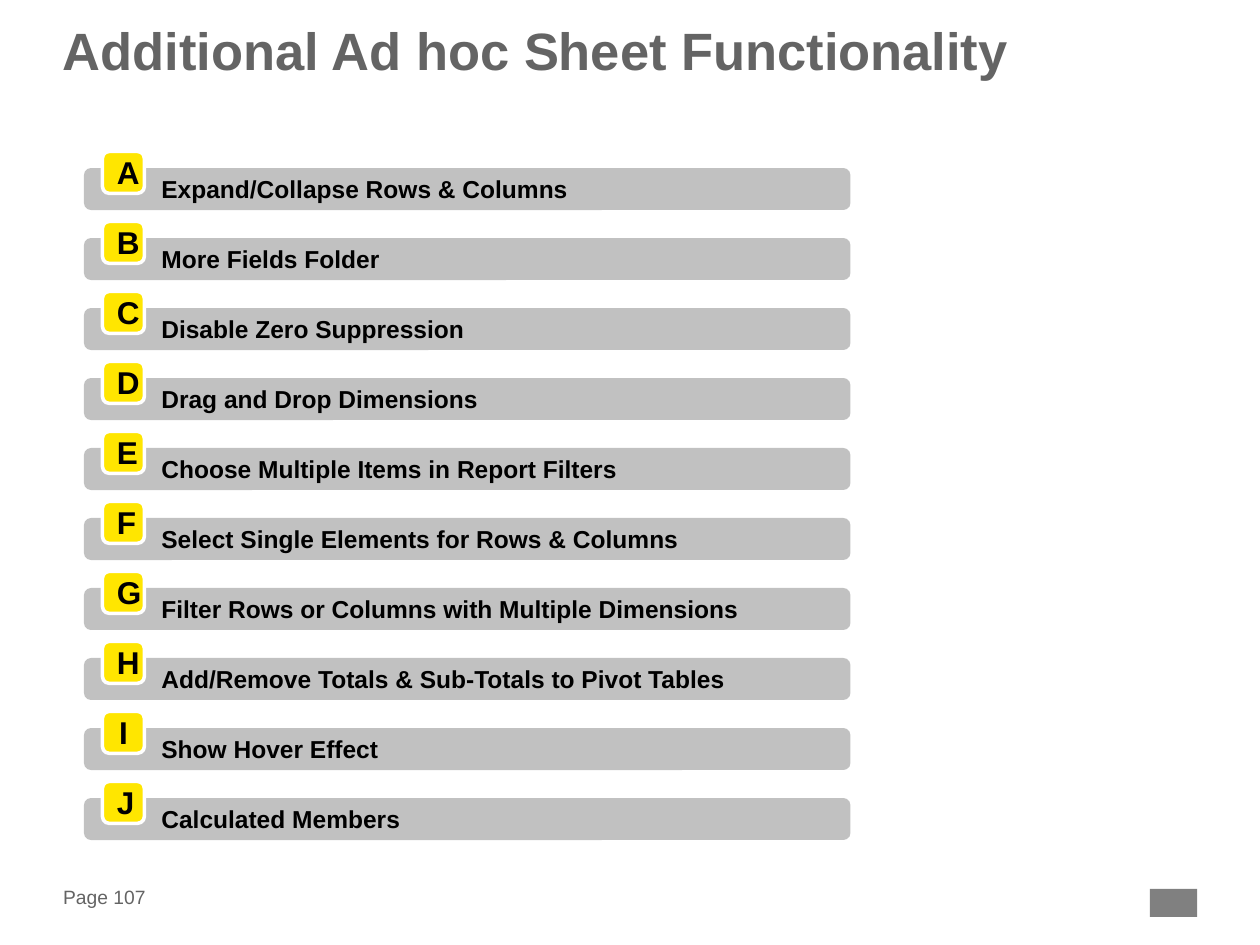
"""Build the slide listing additional ad hoc sheet functionality."""
import pptx
import pptx.dml.color
import pptx.enum.shapes
import pptx.enum.text
import pptx.util

Pt = pptx.util.Pt
RGBColor = pptx.dml.color.RGBColor
MSO_SHAPE = pptx.enum.shapes.MSO_SHAPE
MSO_ANCHOR = pptx.enum.text.MSO_ANCHOR
PP_ALIGN = pptx.enum.text.PP_ALIGN

FONT = "Arial"
TEXT_GREY = RGBColor(0x64, 0x64, 0x64)
MARK_GREY = RGBColor(0x80, 0x80, 0x80)
BAR_GREY = RGBColor(0xC1, 0xC1, 0xC1)
YELLOW = RGBColor(0xFF, 0xE6, 0x00)
WHITE = RGBColor(0xFF, 0xFF, 0xFF)
BLACK = RGBColor(0x00, 0x00, 0x00)

FIRST_TOP = 96
ROW_PITCH = 40
ROW_HEIGHT = 24
BADGE_RISE = 9.5

TOPICS = [
    "Expand/Collapse Rows & Columns",
    "More Fields Folder",
    "Disable Zero Suppression",
    "Drag and Drop Dimensions",
    "Choose Multiple Items in Report Filters",
    "Select Single Elements for Rows & Columns",
    "Filter Rows or Columns with Multiple Dimensions",
    "Add/Remove Totals & Sub-Totals to Pivot Tables",
    "Show Hover Effect",
    "Calculated Members",
]


def write_text(sp, text, size, color, bold, align, anchor):
    tf = sp.text_frame
    tf.word_wrap = True
    tf.vertical_anchor = anchor
    tf.text = text
    p = tf.paragraphs[0]
    p.alignment = align
    font = p.runs[0].font
    font.name = FONT
    font.size = Pt(size)
    font.bold = bold
    font.color.rgb = color
    return p


def add_label(s, box, text, size, bold, anchor):
    sp = s.shapes.add_textbox(*map(Pt, box))
    p = write_text(sp, text, size, TEXT_GREY, bold, PP_ALIGN.LEFT, anchor)
    tf = sp.text_frame
    tf.margin_left = tf.margin_right = tf.margin_top = tf.margin_bottom = 0
    return p


def add_block(s, kind, box, fill):
    sp = s.shapes.add_shape(kind, *map(Pt, box))
    sp.shadow.inherit = False
    sp.fill.solid()
    sp.fill.fore_color.rgb = fill
    sp.line.fill.background()
    return sp


def add_bar(s, top, text):
    sp = add_block(s, MSO_SHAPE.ROUNDED_RECTANGLE, (48, top, 438, ROW_HEIGHT), BAR_GREY)
    p = write_text(sp, text, 14, BLACK, True, PP_ALIGN.LEFT, MSO_ANCHOR.MIDDLE)
    p.level = 1
    pPr = p._p.get_or_add_pPr()
    pPr.set("marL", str(Pt(36)))
    pPr.set("indent", "0")


def add_badge(s, top, letter):
    box = (58.5, top, ROW_HEIGHT, ROW_HEIGHT)
    sp = add_block(s, MSO_SHAPE.ROUNDED_RECTANGLE, box, YELLOW)
    sp.line.color.rgb = WHITE
    sp.line.width = Pt(2)
    write_text(sp, letter, 18, BLACK, True, PP_ALIGN.CENTER, MSO_ANCHOR.MIDDLE)


def main():
    prs = pptx.Presentation()
    prs.slide_width, prs.slide_height = Pt(720), Pt(540)
    s = prs.slides.add_slide(prs.slide_layouts[6])

    title = add_label(s, (36, 16, 648, 68), "Additional Ad hoc Sheet Functionality",
                      30, True, MSO_ANCHOR.TOP)
    title.line_spacing = 0.85

    for i, topic in enumerate(TOPICS):
        top = FIRST_TOP + i * ROW_PITCH
        add_bar(s, top, topic)
        add_badge(s, top - BADGE_RISE, chr(ord("A") + i))

    add_label(s, (36, 504.5, 57, 16), "Page 107", 11, False, MSO_ANCHOR.MIDDLE)
    add_block(s, MSO_SHAPE.RECTANGLE, (657, 508, 27, 16), MARK_GREY)

    prs.save("out.pptx")


if __name__ == "__main__":
    main()
